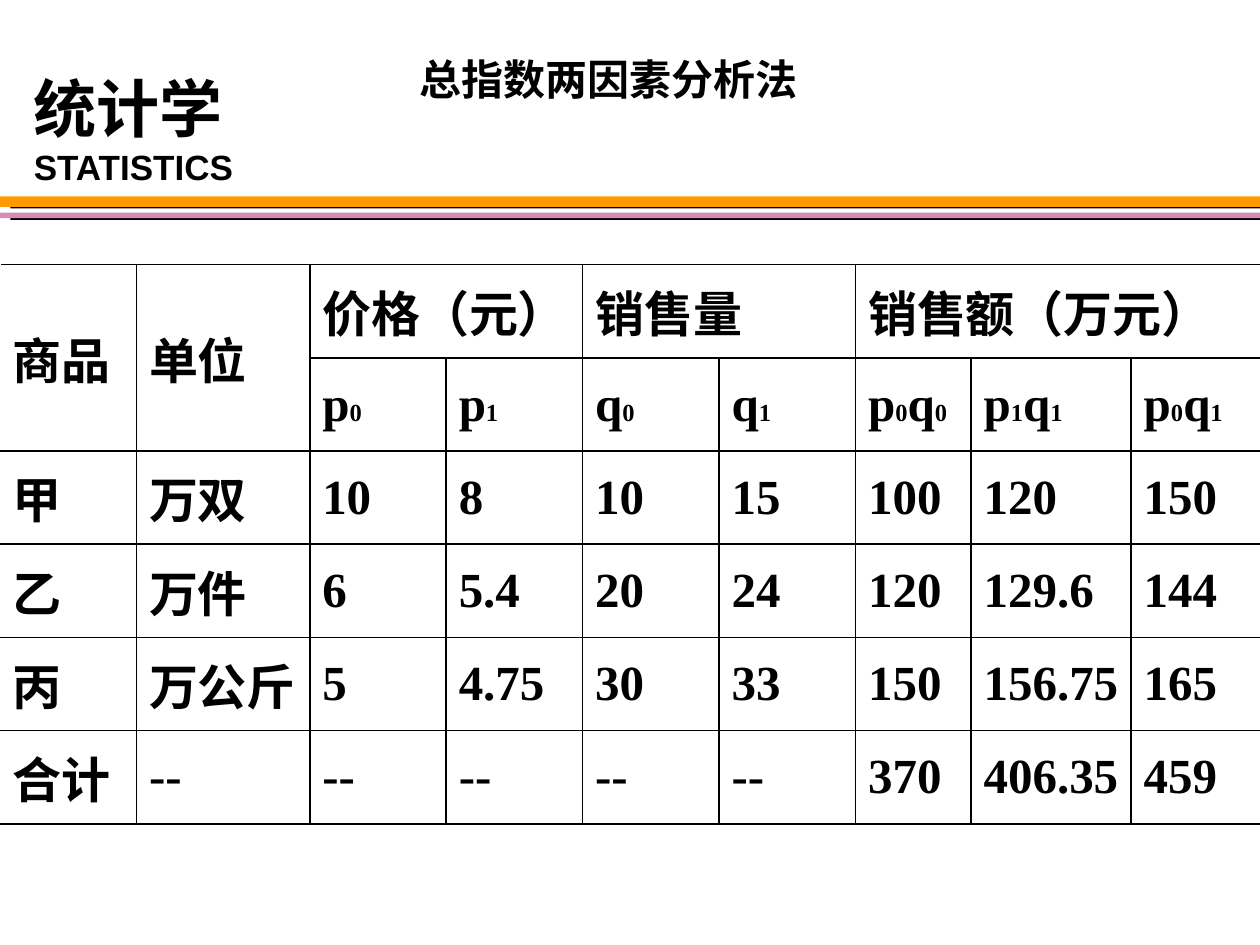
from lxml.etree import SubElement
from pptx import Presentation
from pptx.dml.color import RGBColor
from pptx.enum.shapes import MSO_SHAPE as Shape
from pptx.enum.text import MSO_ANCHOR as Anchor, PP_ALIGN as Align
from pptx.oxml import parse_xml
from pptx.oxml.ns import nsdecls, qn
from pptx.util import Inches, Pt

W, H = Inches(10), Inches(7.5)
UNIT = W / 120  # one column of the slide's 120-column grid
BLACK, ORANGE, PINK = "000000", "FF9900", "D989B8"
SERIF, SANS = "Times New Roman", "Arial"

COLUMNS = [13, 16.5, 13, 13, 13, 13, 11, 15.25, 13]
HEADINGS = [(0, 2, 1, "商品"), (1, 2, 1, "单位"), (2, 1, 2, "价格（元）"),
            (4, 1, 2, "销售量"), (6, 1, 3, "销售额（万元）")]
SYMBOLS = ["p0", "p1", "q0", "q1", "p0q0", "p1q1", "p0q1"]
GOODS = [
    ["甲", "万双", "10", "8", "10", "15", "100", "120", "150"],
    ["乙", "万件", "6", "5.4", "20", "24", "120", "129.6", "144"],
    ["丙", "万公斤", "5", "4.75", "30", "33", "150", "156.75", "165"],
    ["合计", "--", "--", "--", "--", "--", "370", "406.35", "459"],
]


def rgb(value):
    return RGBColor.from_string(value)


def share(left, top, width, height):
    """Turn shares of the slide's size into a box."""
    return [round(v) for v in (left * W, top * H, width * W, height * H)]


def place(shape, box):
    shape.left, shape.top, shape.width, shape.height = box


def write(p, text, size=28, font=SERIF, color=BLACK, bold=True, align=None):
    p.alignment = align
    r = p.add_run()
    r.text = text
    r.font.size, r.font.name, r.font.bold = Pt(size), font, bold
    r.font.color.rgb = rgb(color)


def bar(s, box, color):
    sp = s.shapes.add_shape(Shape.RECTANGLE, *box)
    sp.fill.solid()
    sp.fill.fore_color.rgb = rgb(color)
    sp.line.fill.background()
    sp.shadow.inherit = False
    effects = sp._element.spPr.find(qn("a:effectLst"))
    shadow = SubElement(effects, qn("a:outerShdw"), blurRad="0",
                        dist=str(Pt(6.1)), dir=str(9 * 60000),
                        algn="tl", rotWithShape="0")
    SubElement(shadow, qn("a:srgbClr"), val=BLACK)


def course_name(s, box):
    tf = s.shapes.add_textbox(*box).text_frame
    tf.word_wrap = False
    write(tf.paragraphs[0], "统计学", size=36, font=SANS)
    write(tf.add_paragraph(), "STATISTICS", size=20, font=SANS)


def title(s, box):
    sp = s.shapes.title
    place(sp, box)
    tf = sp.text_frame
    tf.vertical_anchor = Anchor.MIDDLE
    write(tf.paragraphs[0], "总指数两因素分析法", size=24, align=Align.CENTER)


def border(cell, sides):
    """Draw a thin black line on each of the named sides, in schema order."""
    for i, side in enumerate(sides):
        cell._tc.get_or_add_tcPr().insert(i, parse_xml(
            f'<a:ln{side} {nsdecls("a")} w="{Pt(1.08)}"><a:solidFill>'
            f'<a:srgbClr val="{BLACK}"/></a:solidFill></a:ln{side}>'))


def index_table(s, box):
    left, top, width, height = box
    rows, last = len(GOODS) + 2, len(COLUMNS) - 1
    table = s.shapes.add_table(rows, len(COLUMNS), left, top, width, height).table
    table.first_row = table.horz_banding = False
    for column, units in zip(table.columns, COLUMNS):
        column.width = round(width * units / sum(COLUMNS))
    for y, row in enumerate(table.rows):
        row.height = height // rows
        for x, cell in enumerate(row.cells):
            cell.fill.background()
            cell.vertical_anchor = Anchor.MIDDLE
            border(cell, ["L"] * (x > 0) + ["R"] * (x < last) + ["T", "B"])

    def paragraph(y, x):
        return table.cell(y, x).text_frame.paragraphs[0]

    for x, down, across, text in HEADINGS:
        table.cell(0, x).merge(table.cell(down - 1, x + across - 1))
        write(paragraph(0, x), text)
    for x, symbol in enumerate(SYMBOLS, 2):
        for char in symbol:
            write(paragraph(1, x), char, size=14 if char.isdigit() else 28)
    for y, values in enumerate(GOODS, 2):
        for x, value in enumerate(values):
            write(paragraph(y, x), value)


def main():
    prs = Presentation()
    prs.slide_width, prs.slide_height = W, H
    s = prs.slides.add_slide(prs.slide_layouts[5])
    bar(s, share(0, 0.225, 1, 0.006), PINK)
    bar(s, share(0, 0.208, 1, 0.011), ORANGE)
    course_name(s, share(0.017, 0.067, 0.18, 0.14))
    title(s, share(0.058, 0, 0.85, 0.167))
    index_table(s, [0, round(0.28 * H), round(sum(COLUMNS) * UNIT), round(0.592 * H)])
    prs.save("out.pptx")


if __name__ == "__main__":
    main()
